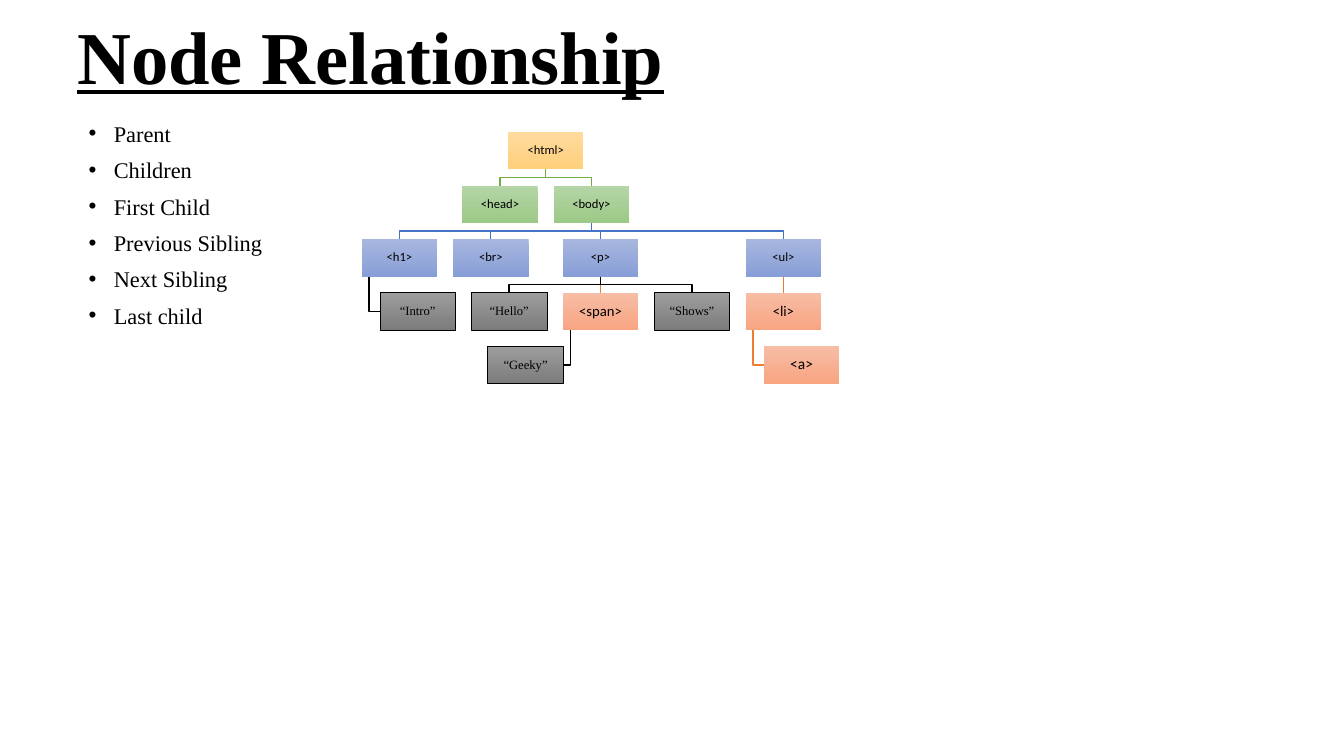
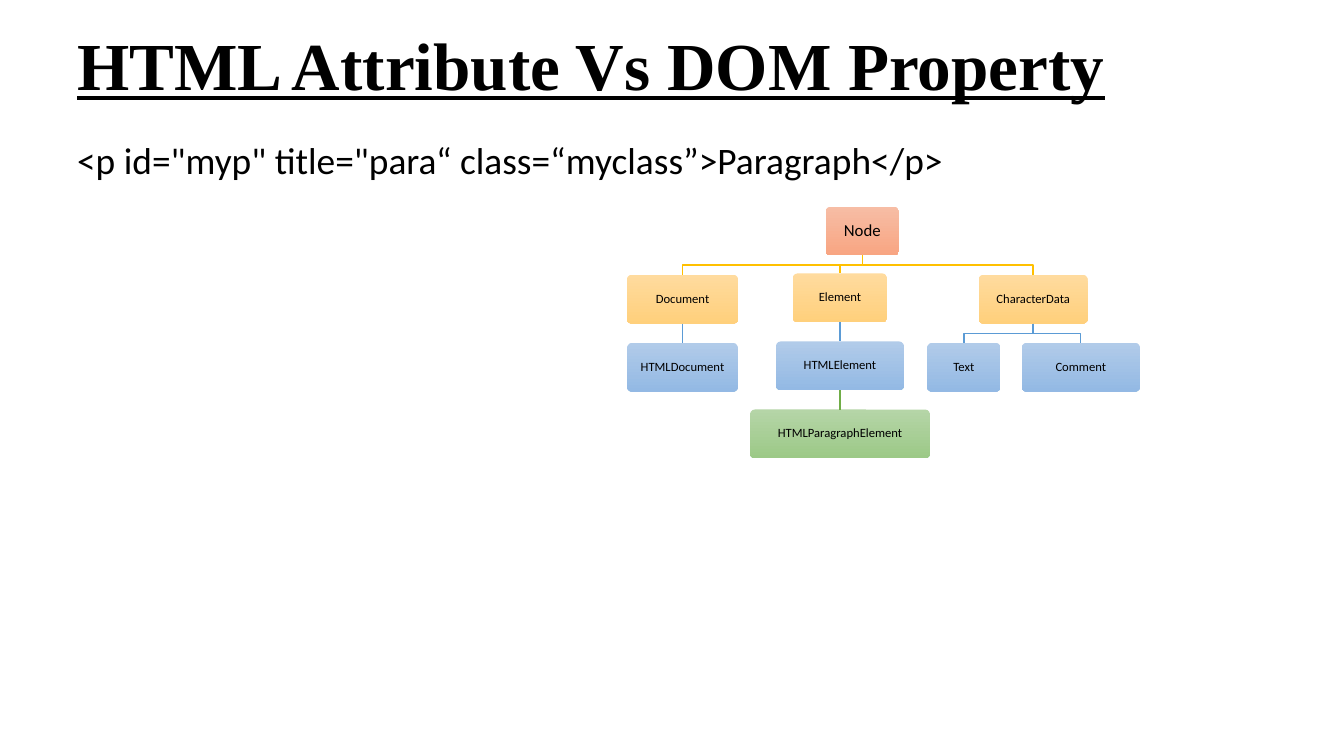
from lxml.etree import SubElement
from pptx import Presentation
from pptx.dml.color import RGBColor
from pptx.enum.shapes import MSO_CONNECTOR, MSO_SHAPE
from pptx.enum.text import MSO_ANCHOR, MSO_AUTO_SIZE, PP_ALIGN
from pptx.oxml.ns import qn
from pptx.util import Pt

LEFT, CENTER = PP_ALIGN.LEFT, PP_ALIGN.CENTER
TOP, MIDDLE = MSO_ANCHOR.TOP, MSO_ANCHOR.MIDDLE
NO_AUTOFIT = MSO_AUTO_SIZE.NONE
STRAIGHT = MSO_CONNECTOR.STRAIGHT
RECTANGLE, ROUNDED = MSO_SHAPE.RECTANGLE, MSO_SHAPE.ROUNDED_RECTANGLE
SERIF, SANS = "Times New Roman", "Calibri"
BLACK = "000000"
TITLE_ONLY = 5

PALETTE = {
    "yellow": ("FFDB9E", "FFD07C", "FFC000"),
    "green": ("B5D5A7", "9CC987", "70AD47"),
    "indigo": ("A8B7DF", "889ED7", "4472C4"),
    "blue": ("B1CBE9", "93B9E4", "5B9BD5"),
    "orange": ("F7BDA5", "F8A582", "ED7D31"),
    "grey": ("9D9D9D", "7C7C7C", BLACK),
}


def color(value):
    return RGBColor.from_string(value)


def write(frame, lines, size, font=SANS, align=LEFT, anchor=TOP, inset=(7.2, 3.6),
          spacing=0.9, before=0, bullet=False, bold=False, underline=False):
    frame.auto_size = NO_AUTOFIT
    frame.word_wrap = True
    frame.vertical_anchor = anchor
    frame.margin_left = frame.margin_right = Pt(inset[0])
    frame.margin_top = frame.margin_bottom = Pt(inset[1])
    for index, line in enumerate(lines):
        para = frame.add_paragraph() if index else frame.paragraphs[0]
        if bullet:
            properties = para._p.get_or_add_pPr()
            properties.set("marL", str(Pt(18)))
            properties.set("indent", str(-Pt(18)))
            SubElement(properties, qn("a:buFont"), typeface="Arial")
            SubElement(properties, qn("a:buChar"), char="•")
        para.alignment = align
        para.line_spacing = spacing
        para.space_before = Pt(before if index else 0)
        span = para.add_run()
        span.text = line
        span.font.name = font
        span.font.size = Pt(size)
        span.font.bold = bold
        span.font.underline = underline
        span.font.color.rgb = color(BLACK)


SLIDES = [
    {
        "title": ("Node Relationship", 53.3, -2),
        "body": ["Parent", "Children", "First Child", "Previous Sibling", "Next Sibling", "Last child"],
        "body_area": (56.2, 85.7, 192, 160),
        "body_format": {"size": 16, "font": SERIF, "spacing": 0.8, "before": 10.7, "bullet": True},
        "shape": RECTANGLE, "origin": (285.3, 94.3), "pitch": (65.3, 38.25), "height": 26.8,
        "nodes": [
            ("<html>", 1.6, 0, 54, "yellow", 9, None, None),
            ("<head>", 1.1, 1, 54, "green", 9, "<html>", "drop"),
            ("<body>", 2.1, 1, 54, "green", 9, "<html>", "drop"),
            ("<h1>", 0, 2, 54, "indigo", 9, "<body>", "drop"),
            ("<br>", 1, 2, 54, "indigo", 9, "<body>", "drop"),
            ("<p>", 2.2, 2, 54, "indigo", 9, "<body>", "drop"),
            ("<ul>", 4.2, 2, 54, "indigo", 9, "<body>", "drop"),
            ("“Intro”", 0.2, 3, 54, "grey", 9, "<h1>", "hang"),
            ("“Hello”", 1.2, 3, 54, "grey", 9, "<p>", "drop"),
            ("<span>", 2.2, 3, 54, "orange", 10.5, "<p>", "drop"),
            ("“Shows”", 3.2, 3, 54, "grey", 9, "<p>", "drop"),
            ("<li>", 4.2, 3, 54, "orange", 10.5, "<ul>", "drop"),
            ("“Geeky”", 1.38, 4, 54, "grey", 9, "<span>", "hang"),
            ("<a>", 4.4, 4, 54, "orange", 11, "<li>", "hang"),
        ],
    },
    {
        "title": ("HTML Attribute Vs DOM Property", 48, 4.3),
        "body": ["<p id=\"myp\" title=\"para“ class=“myclass”>Paragraph</p>"],
        "body_area": (48, 97.9, 864, 356),
        "body_format": {"size": 26.7},
        "shape": ROUNDED, "origin": (0, 147.7), "pitch": (1, 48.6), "height": 34.8,
        "nodes": [
            ("Node", 616, 0, 52.5, "orange", 12, None, None),
            ("Document", 487.5, 1, 79.5, "yellow", 9, "Node", "drop"),
            ("Element", 600, 0.98, 67.5, "yellow", 9, "Node", "drop"),
            ("CharacterData", 738, 1, 78, "yellow", 9, "Node", "drop"),
            ("HTMLDocument", 487.5, 2, 79, "blue", 9, "Document", "drop"),
            ("HTMLElement", 600, 1.98, 91.5, "blue", 9, "Element", "drop"),
            ("Text", 688.5, 2, 52.5, "blue", 9, "CharacterData", "drop"),
            ("Comment", 772, 2, 84.5, "blue", 9, "CharacterData", "drop"),
            ("HTMLParagraphElement", 600, 2.98, 128.5, "green", 9, "HTMLElement", "drop"),
        ],
    },
]

deck = Presentation()
deck.slide_width, deck.slide_height = Pt(960), Pt(540)

for content in SLIDES:
    page = deck.slides.add_slide(deck.slide_layouts[TITLE_ONLY])
    heading, heading_size, heading_top = content["title"]
    title = page.shapes.title
    title.left, title.top, title.width, title.height = Pt(48), Pt(heading_top), Pt(864), Pt(90)
    write(title.text_frame, [heading], heading_size, font=SERIF, anchor=MIDDLE,
          bold=True, underline=True)
    body = page.shapes.add_textbox(*map(Pt, content["body_area"]))
    write(body.text_frame, content["body"], **content["body_format"])

    height = content["height"]
    placed = {}
    for text, column, row, width, tone, size, parent, link in content["nodes"]:
        center = content["origin"][0] + column * content["pitch"][0]
        top = content["origin"][1] + row * content["pitch"][1]
        left = center - width / 2
        box = page.shapes.add_shape(content["shape"], Pt(left), Pt(top), Pt(width), Pt(height))
        box.shadow.inherit = False
        if content["shape"] == ROUNDED:
            box.adjustments[0] = 0.1
        light, dark, accent = PALETTE[tone]
        box.fill.gradient()
        box.fill.gradient_angle = 270
        for stop, shade in zip(box.fill.gradient_stops, (light, dark)):
            stop.color.rgb = color(shade)
        if tone == "grey":
            box.line.color.rgb = color(BLACK)
            box.line.width = Pt(0.5)
        else:
            box.line.fill.background()
        write(box.text_frame, [text], size, font=SERIF if tone == "grey" else SANS,
              align=CENTER, anchor=MIDDLE, inset=(1, 1))
        placed[text] = (box, center, left, top, width)
        if parent is None:
            continue

        parent_box, parent_center, parent_left, parent_top, parent_width = placed[parent]
        bottom = parent_top + height
        if link == "drop" and center == parent_center:
            branch = page.shapes.add_connector(STRAIGHT, Pt(center), Pt(bottom), Pt(center), Pt(top))
            branch.begin_connect(parent_box, 2)
            branch.end_connect(box, 0)
        else:
            if link == "drop":
                middle = (bottom + top) / 2
                points = [(parent_center, bottom), (parent_center, middle), (center, middle), (center, top)]
            else:
                stem = parent_left + parent_width / 10
                side = left if center > parent_center else left + width
                middle = top + height / 2
                points = [(stem, bottom), (stem, middle), (side, middle)]
            start, *rest = [(Pt(x), Pt(y)) for x, y in points]
            outline = page.shapes.build_freeform(*start)
            outline.add_line_segments(rest, close=False)
            branch = outline.convert_to_shape()
            branch.fill.background()
        branch.line.color.rgb = color(accent)
        branch.line.width = Pt(1)
        SubElement(branch._element.spPr, qn("a:effectLst"))

deck.save("out.pptx")
